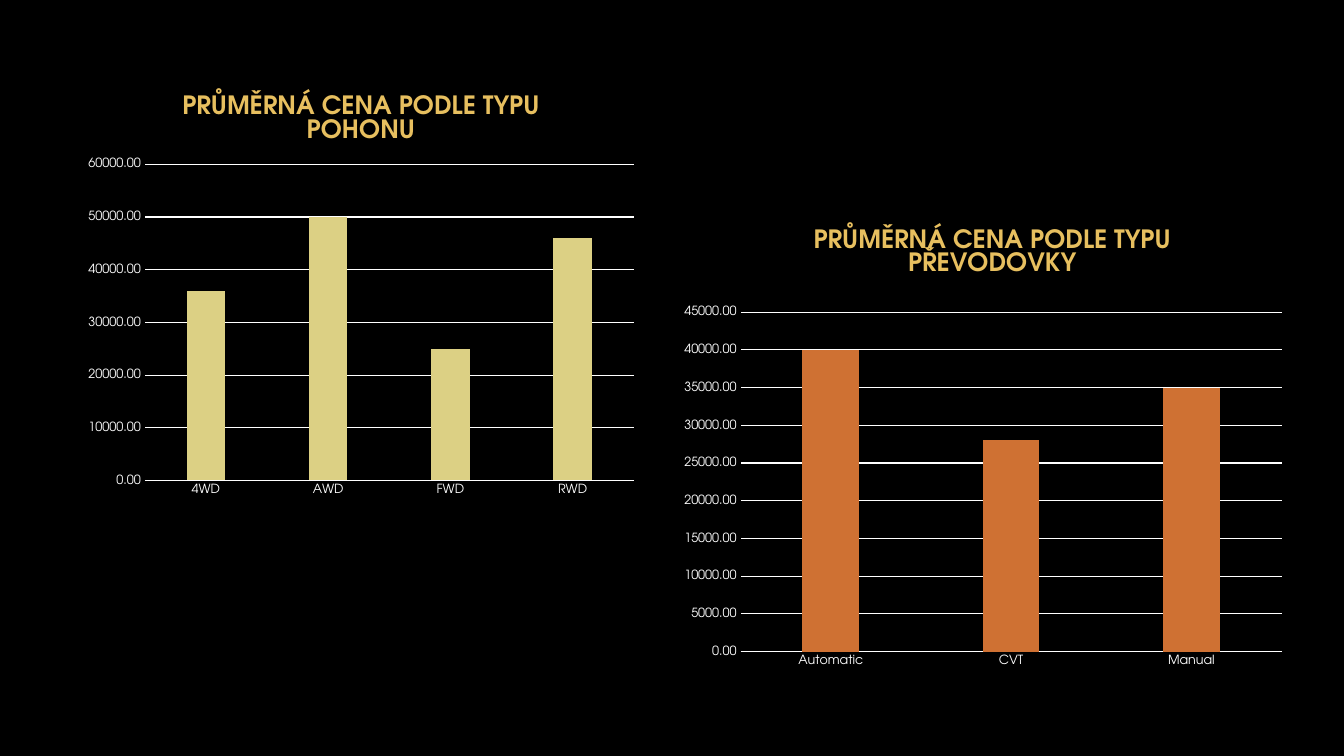
from lxml import etree
from pptx import Presentation
from pptx import util as u
from pptx.chart import data as cd
from pptx.dml import color
from pptx.enum import chart as ch
from pptx.oxml import ns

FONT = "TeX Gyre Adventor"
WHITE, GOLD = "FFFFFF", "E7BF5F"


def rgb(value):
    return color.RGBColor.from_string(value)


def set_font(font, size, fill, bold=False):
    for name, value in dict(name=FONT, size=u.Pt(size), bold=bold).items():
        setattr(font, name, value)
    font.color.rgb = rgb(fill)


def set_line(line):
    line.color.rgb = rgb(WHITE)
    line.width = u.Pt(0.75)


def set_layout(parent, index, **values):
    for old in parent.findall(ns.qn("c:layout")):
        parent.remove(old)
    layout = etree.Element(ns.qn("c:layout"))
    manual = etree.SubElement(layout, ns.qn("c:manualLayout"))
    for tag, value in values.items():
        etree.SubElement(manual, ns.qn("c:" + tag)).set("val", str(value))
    parent.insert(index, layout)


def set_axis(axis, **formats):
    formats.update(major_tick_mark=ch.XL_TICK_MARK.NONE,
                   minor_tick_mark=ch.XL_TICK_MARK.NONE)
    for name, value in formats.items():
        setattr(axis, name, value)
    set_font(axis.tick_labels.font, 9, WHITE)


def add_column_chart(s, box, title, prices, fill, area, top, step,
                     title_at=None):
    data = cd.CategoryChartData(number_format="0.00")
    data.categories = list(prices)
    data.add_series("Series 1", list(prices.values()))
    chart = s.shapes.add_chart(ch.XL_CHART_TYPE.COLUMN_CLUSTERED,
                               *map(u.Cm, box), data).chart
    chart.has_legend = False
    set_font(chart.font, 10, WHITE)

    chart.has_title = True
    chart.chart_title.include_in_layout = False
    p = chart.chart_title.text_frame.paragraphs[0]
    r = p.add_run()
    r.text = title
    set_font(r.font, 18, GOLD, True)

    set_axis(chart.category_axis, has_major_gridlines=False)
    set_line(chart.category_axis.format.line)
    axis = chart.value_axis
    set_axis(axis, has_major_gridlines=True, minimum_scale=0,
             maximum_scale=top, major_unit=step)
    axis.format.line.fill.background()
    set_line(axis.major_gridlines.format.line)
    axis.tick_labels.number_format = "0.00"
    axis.tick_labels.number_format_is_linked = False

    plot = chart.plots[0]
    for name, value in dict(gap_width=219, overlap=-27,
                            vary_by_categories=False).items():
        setattr(plot, name, value)
    plot.series[0].format.fill.solid()
    plot.series[0].format.fill.fore_color.rgb = rgb(fill)

    plot_area = chart.element.find(".//" + ns.qn("c:plotArea"))
    set_layout(plot_area, 0, layoutTarget="inner", xMode="edge",
               yMode="edge", **dict(zip("xywh", area)))
    if title_at:
        set_layout(chart.element.find(".//" + ns.qn("c:title")), 1,
                   xMode="edge", yMode="edge", **dict(zip("xy", title_at)))


def main():
    prs = Presentation()
    prs.slide_width, prs.slide_height = u.Cm(33.87), u.Cm(19.05)
    s = prs.slides.add_slide(prs.slide_layouts[6])
    s.background.fill.solid()
    s.background.fill.fore_color.rgb = rgb("000000")

    add_column_chart(
        s, (1.93, 1.88, 14.33, 10.77), "PRŮMĚRNÁ CENA PODLE TYPU POHONU",
        {"4WD": 36000, "AWD": 50000, "FWD": 25000, "RWD": 46000},
        "DCD084", (0.12, 0.21, 0.86, 0.74), 60000, 10000)
    add_column_chart(
        s, (16.94, 5.59, 15.67, 11.4), "PRŮMĚRNÁ CENA PODLE TYPU PŘEVODOVKY",
        {"Automatic": 40000, "CVT": 28000, "Manual": 35000},
        "CF7133", (0.11, 0.2, 0.87, 0.75), 45000, 5000, (0.22, -0.01))
    prs.save("out.pptx")


if __name__ == "__main__":
    main()
